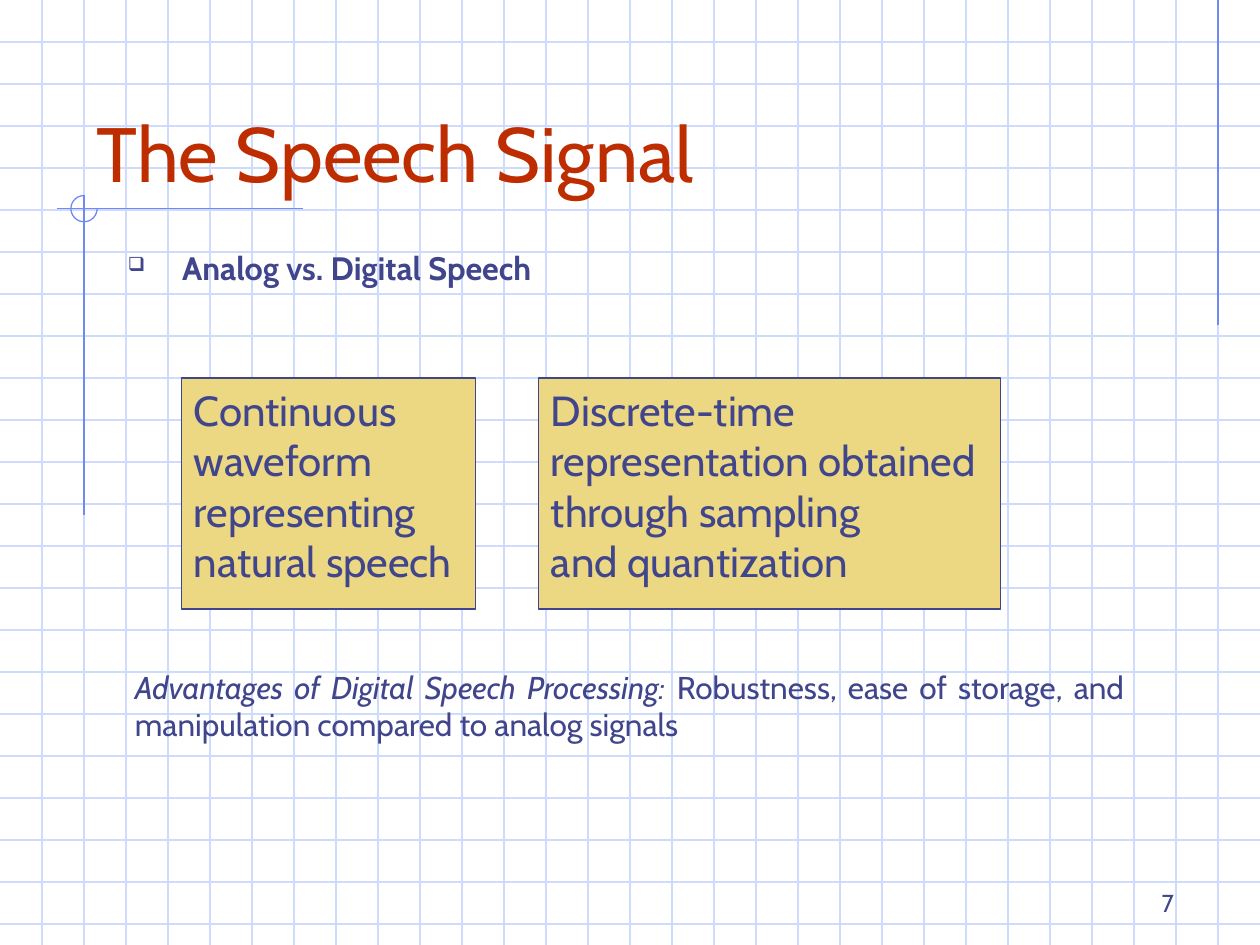
from lxml.etree import SubElement
from pptx import Presentation
from pptx.dml.color import RGBColor
from pptx.enum.shapes import MSO_CONNECTOR, MSO_SHAPE
from pptx.enum.text import MSO_ANCHOR, MSO_AUTO_SIZE, PP_ALIGN
from pptx.oxml.ns import qn
from pptx.util import Pt

PALE = RGBColor(0xCF, 0xDB, 0xFD)
BLUE = RGBColor(0x6F, 0x89, 0xF7)
NAVY = RGBColor(0x40, 0x45, 0x8C)
RED = RGBColor(0xBE, 0x2D, 0x00)
SAND = RGBColor(0xEC, 0xD8, 0x82)
WIDE, HIGH, STEP = 720, 540, 24


def write(shape, *lines, size=18, color=NAVY, bold=False, align=PP_ALIGN.LEFT,
          anchor=MSO_ANCHOR.TOP, bullet=None, indent=0, base=3.6):
    """Fill a shape with lines; each line is a string or a list of (text, italic)."""
    frame = shape.text_frame
    frame.word_wrap = True
    frame.auto_size = MSO_AUTO_SIZE.NONE
    frame.vertical_anchor = anchor
    frame.margin_left = frame.margin_right = Pt(7.2)
    frame.margin_top, frame.margin_bottom = Pt(3.6), Pt(base)
    for i, line in enumerate(lines):
        para = frame.add_paragraph() if i else frame.paragraphs[0]
        para.alignment = align
        if bullet:
            mark(para, bullet, indent)
        for text, slant in [(line, False)] if isinstance(line, str) else line:
            run = para.add_run()
            run.text = text
            font = run.font
            font.name, font.size = "Cabin", Pt(size)
            font.bold, font.italic = bold, slant
            font.color.rgb = color


def mark(para, sign, indent):
    props = para._p.get_or_add_pPr()
    props.set("marL", str(Pt(indent)))
    props.set("indent", str(-Pt(indent)))
    hue = SubElement(props, qn("a:buClr"))
    SubElement(hue, qn("a:srgbClr"), val=str(NAVY))
    SubElement(props, qn("a:buSzPct"), val="60000")
    SubElement(props, qn("a:buChar"), char=sign)


def rule(slide, x1, y1, x2, y2, color):
    line = slide.shapes.add_connector(
        MSO_CONNECTOR.STRAIGHT, Pt(x1), Pt(y1), Pt(x2), Pt(y2))
    line.line.color.rgb = color
    line.line.width = Pt(0.75)
    SubElement(line._element.spPr, qn("a:effectLst"))


def label(slide, box, *lines, **style):
    write(slide.shapes.add_textbox(*map(Pt, box)), *lines, **style)


def grid(slide, left, top, width, height):
    for y in range(top + STEP, top + height, STEP):
        rule(slide, left, y, left + width, y, PALE)
    for x in range(left + STEP, left + width, STEP):
        rule(slide, x, top, x, top + height, PALE)


def accent(slide, left, top, width, height):
    """Crossed lines with a three-quarter ring around the crossing."""
    x, y, r = left + 15.5, top + 7.75, 7.5
    rule(slide, left + width, y, left, y, BLUE)
    rule(slide, x, top, x, top + height, BLUE)
    ring = slide.shapes.add_shape(
        MSO_SHAPE.ARC, Pt(x - r), Pt(y - r), Pt(2 * r), Pt(2 * r))
    ring.adjustments[0] = 0
    ring.adjustments[1] = 162  # 270 degrees
    ring.shadow.inherit = False
    ring.fill.background()
    ring.line.color.rgb = BLUE
    ring.line.width = Pt(0.75)


def head(slide, left, top, width, height):
    title = slide.shapes.title
    title.left, title.top, title.width, title.height = map(
        Pt, (left, top, width, height))
    write(title, "The Speech Signal", size=44, color=RED,
          anchor=MSO_ANCHOR.BOTTOM, base=1)
    title.element.getparent().append(title.element)  # above the grid


def card(slide, box, *lines):
    shape = slide.shapes.add_shape(MSO_SHAPE.RECTANGLE, *map(Pt, box))
    shape.shadow.inherit = False
    shape.fill.solid()
    shape.fill.fore_color.rgb = SAND
    shape.line.color.rgb = NAVY
    shape.line.width = Pt(0.75)
    write(shape, *lines, size=24)


def pair(slide, left, top, width, height):
    first, gap = 168, 36
    card(slide, (left, top, first, height),
         "Continuous", "waveform", "representing", "natural speech")
    card(slide, (left + first + gap, top, width - first - gap, height),
         "Discrete-time", "representation obtained",
         "through sampling", "and quantization")


def main():
    deck = Presentation()
    deck.slide_width, deck.slide_height = Pt(WIDE), Pt(HIGH)
    slide = deck.slides.add_slide(deck.slide_layouts[5])

    # Background
    grid(slide, 0, 0, WIDE, HIGH)
    rule(slide, 696, 0, 696, 186, BLUE)
    accent(slide, 32.5, 111.5, 140.5, 183)

    # Title and page number
    head(slide, 48, 24, 612, 90)
    label(slide, (528, 492, 150, 36), "7", size=14,
          align=PP_ALIGN.RIGHT, anchor=MSO_ANCHOR.BOTTOM)

    # Content
    label(slide, (66, 138, 606, 30), "Analog vs. Digital Speech",
          size=18.5, bold=True, bullet="❑", indent=31)
    pair(slide, 103.75, 216, 468, 132)
    label(slide, (70, 378, 579.5, 50.5),
          [("Advantages of Digital Speech Processing: ", True),
           ("Robustness, ease of storage, and manipulation "
            "compared to analog signals", False)],
          align=PP_ALIGN.JUSTIFY)

    deck.save("out.pptx")


if __name__ == "__main__":
    main()
